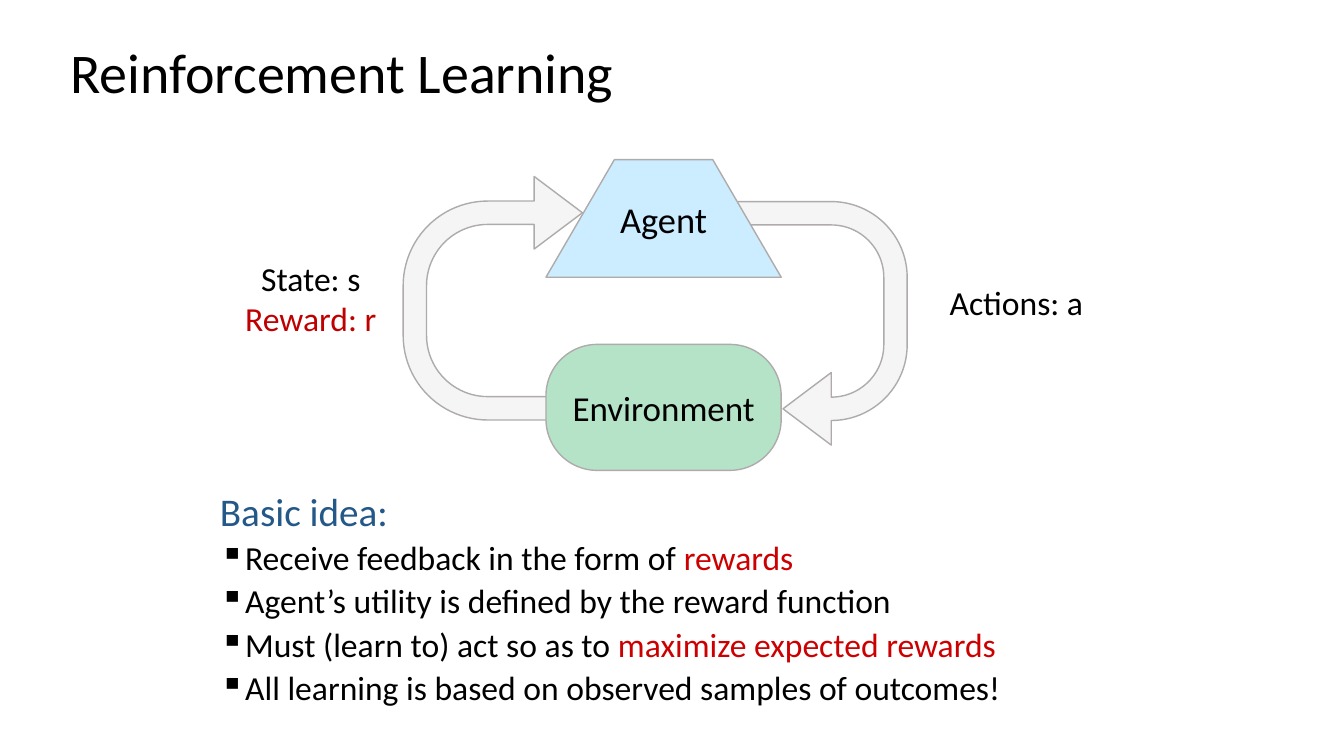
import pptx
import pptx.util
import pptx.dml.color
import pptx.enum.shapes
import pptx.enum.text
import pptx.oxml.ns
import lxml.etree

COLS, ROWS = 160, 90
CELL = pptx.util.Inches(1) / 12
FONT, BLACK, EDGE, PALE = "Calibri", "000000", "AFABAB", "F5F5F5"
KIND = pptx.enum.shapes.MSO_SHAPE
ALIGN = pptx.enum.text.PP_ALIGN
ANCHOR = pptx.enum.text.MSO_ANCHOR


def paint(hue):
    """Turn a hex string into a colour."""
    return pptx.dml.color.RGBColor.from_string(hue)


def place(box, col, row, wide, high):
    """Give slide lengths for grid cells counted from the corner of a box."""
    cells = box[0] + col, box[1] + row, wide, high
    return [round(cell * CELL) for cell in cells]


def style(part, size, hue):
    """Set the font of a run."""
    part.font.name = FONT
    part.font.size = pptx.util.Pt(size)
    part.font.color.rgb = paint(hue)


def write(frame, lines, size, align=ALIGN.LEFT):
    """Fill a text frame with lines, each a list of text and colour pairs."""
    frame.word_wrap = True
    for i, line in enumerate(lines):
        para = frame.paragraphs[0] if i == 0 else frame.add_paragraph()
        para.alignment = align
        for text, hue in line:
            run = para.add_run()
            run.text = text
            style(run, size, hue)


def label(slide, spot, lines, size, align=ALIGN.LEFT):
    """Add a text box and return its frame."""
    frame = slide.shapes.add_textbox(*spot).text_frame
    write(frame, lines, size, align)
    return frame


def shape(slide, kind, spot, fill, adjust):
    """Add a flat outlined shape."""
    item = slide.shapes.add_shape(kind, *spot)
    item.shadow.inherit = False
    item.fill.solid()
    item.fill.fore_color.rgb = paint(fill)
    item.line.color.rgb = paint(EDGE)
    item.line.width = pptx.util.Pt(1)
    for i, value in enumerate(adjust):
        item.adjustments[i] = value
    return item


def bullet(para):
    """Give a paragraph a square bullet and a hanging indent."""
    props = para._p.get_or_add_pPr()
    step = round(3 * CELL)
    props.set("marL", str(step))
    props.set("indent", str(-step))
    mark = lxml.etree.SubElement(props, pptx.oxml.ns.qn("a:buChar"))
    mark.set("char", "▪")


def title(slide, box):
    """Write the heading."""
    frame = label(slide, place(box, 0, 0, *box[2:]),
                  [[("Reinforcement Learning", BLACK)]], 40)
    frame.vertical_anchor = ANCHOR.MIDDLE
    frame.paragraphs[0].line_spacing = 0.9


def cycle(slide, box):
    """Draw the loop between agent and environment with its labels."""
    for col, row, turn, reach in ((20, 5, 270, 0.928), (57, 8, 90, 0.643)):
        arrow = shape(slide, KIND.U_TURN_ARROW, place(box, col, row, 29, 23),
                      PALE, (0.121, 0.188, 0.25, 0.438, reach))
        arrow.rotation = turn

    world = shape(slide, KIND.ROUNDED_RECTANGLE, place(box, 40, 22, 28, 15),
                  "B5E3C8", [0.406])
    write(world.text_frame, [[("Environment", BLACK)]], 25, ALIGN.CENTER)
    world.text_frame.vertical_anchor = ANCHOR.MIDDLE

    agent = shape(slide, KIND.TRAPEZOID, place(box, 40, 0, 28, 14),
                  "CCECFF", [0.582])
    write(agent.text_frame, [[("Agent", BLACK)]], 26, ALIGN.CENTER)
    agent.text_frame.vertical_anchor = ANCHOR.TOP
    agent.text_frame.margin_top = pptx.util.Inches(0.15)

    label(slide, place(box, 85.5, 14, 21, 6),
          [[("Actions: a", BLACK)]], 24, ALIGN.CENTER)
    label(slide, place(box, 1.5, 11.1, 21, 11),
          [[("State: s", BLACK)], [("Reward: r", "C00000")]], 24, ALIGN.CENTER)


def ideas(slide, box):
    """List the basic idea and its points."""
    red = "CC0000"
    lines = [
        [("Basic idea:", "235888")],
        [("Receive feedback in the form of ", BLACK), ("rewards", red)],
        [("Agent’s utility is defined by the reward function", BLACK)],
        [("Must (learn to) act so as to ", BLACK),
         ("maximize expected rewards", red)],
        [("All learning is based on observed samples of outcomes!", BLACK)],
    ]
    frame = label(slide, place(box, 0, 0, *box[2:]), lines, 24)
    head, *points = frame.paragraphs
    head.line_spacing = 0.9
    head.runs[0].font.size = pptx.util.Pt(28)
    for para in points:
        bullet(para)
        para.line_spacing = 0.9
        para.space_before = pptx.util.Pt(5)


def main():
    """Build the slide and save it."""
    deck = pptx.Presentation()
    deck.slide_width = round(COLS * CELL)
    deck.slide_height = round(ROWS * CELL)
    slide = deck.slides.add_slide(deck.slide_layouts[6])
    title(slide, (7.2, 4.8, 138, 8.3))
    cycle(slide, (25, 19, 110, 37))
    ideas(slide, (25, 58, 110, 27))
    deck.save("out.pptx")


if __name__ == "__main__":
    main()
